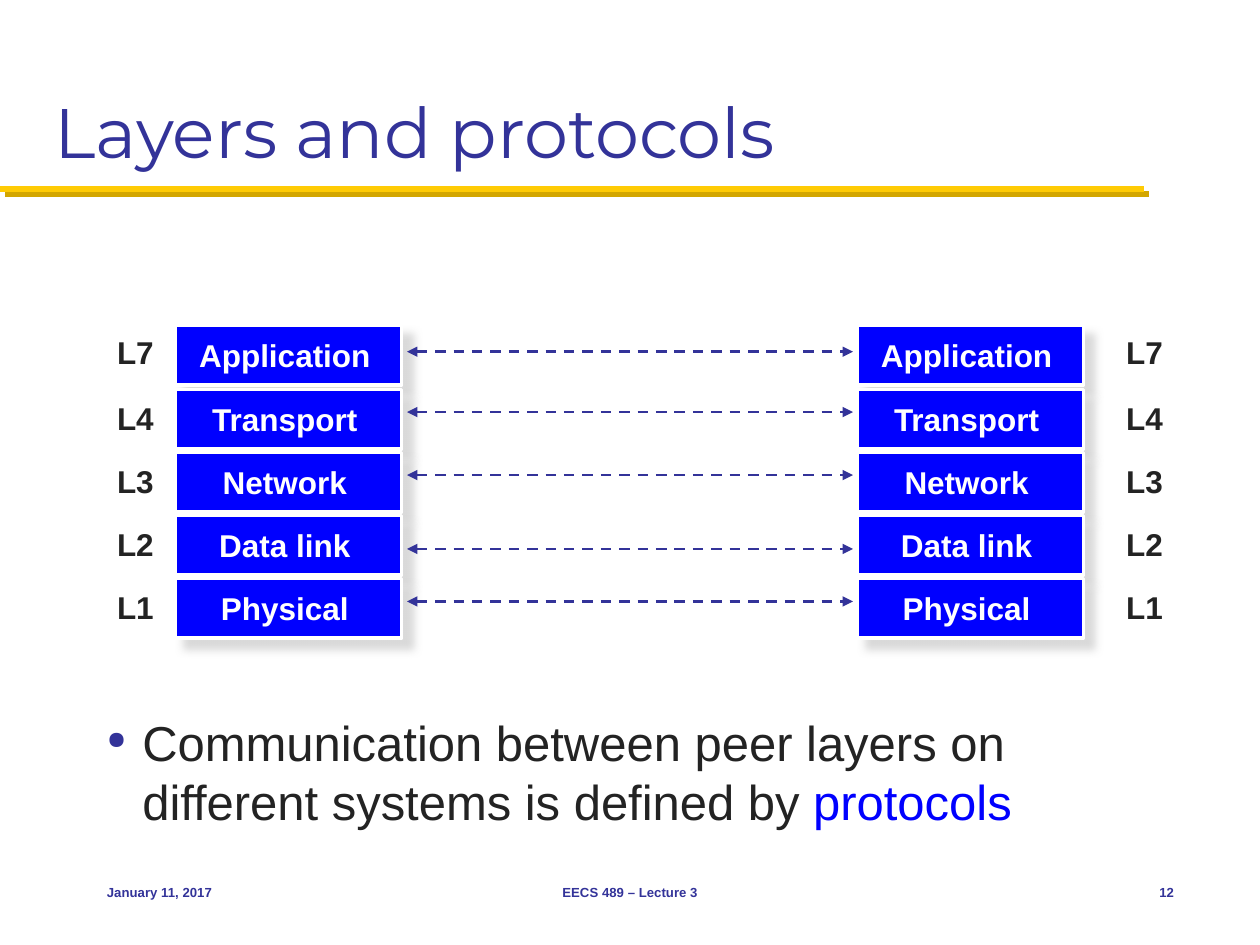
from dataclasses import dataclass

import pptx
import pptx.dml.color
import pptx.enum.dml
import pptx.enum.shapes
import pptx.enum.text
import pptx.oxml.ns
import pptx.util
from lxml import etree

Pt = pptx.util.Pt
RGBColor = pptx.dml.color.RGBColor
Align = pptx.enum.text.PP_ALIGN
Anchor = pptx.enum.text.MSO_ANCHOR
qn = pptx.oxml.ns.qn

INDIGO = RGBColor(0x33, 0x33, 0x99)
BLUE = RGBColor(0x00, 0x00, 0xFF)
WHITE = RGBColor(0xFF, 0xFF, 0xFF)
INK = RGBColor(0x23, 0x23, 0x23)
GOLD = RGBColor(0xFF, 0xCB, 0x05)
DARK_GOLD = RGBColor(0xD3, 0xA6, 0x00)
GREY = RGBColor(0xCE, 0xCE, 0xCE)

BAR_WIDTH, BAR_HEIGHT = 129.6, 34
ARROW_LEFT, ARROW_RIGHT = 232.6, 487.4


@dataclass
class Layer:
    number: str
    name: str
    bar_top: float
    label_top: float
    arrow_y: float


@dataclass
class Stack:
    bar_left: float
    label_left: float


@dataclass
class Footer:
    text: str
    left: float
    width: float
    align: Align


LAYERS = [
    Layer("L7", "Application", 186, 186.5, 201),
    Layer("L4", "Transport", 222.5, 224.6, 235.5),
    Layer("L3", "Network", 258.5, 260.6, 271.5),
    Layer("L2", "Data link", 294.5, 296.6, 313.7),
    Layer("L1", "Physical", 330.5, 332.6, 343.7),
]
STACKS = [Stack(100, 59.8), Stack(489.6, 636.5)]
FOOTERS = [
    Footer("January 11, 2017", 54, 150, Align.LEFT),
    Footer("EECS 489 – Lecture 3", 246, 228, Align.CENTER),
    Footer("12", 630, 48, Align.RIGHT),
]


def add_child(parent, tag: str, **attributes: str):
    return etree.SubElement(parent, qn(tag), attributes)


def add_shadow(effects, color: RGBColor, alpha: int, blur: float, distance: float) -> None:
    shadow = add_child(effects, "a:outerShdw", blurRad=str(Pt(blur)), dist=str(Pt(distance)),
                       dir="2700000", algn="ctr", rotWithShape="0")
    fill = add_child(shadow, "a:srgbClr", val=str(color))
    add_child(fill, "a:alpha", val=str(alpha * 1000))


def style_span(span, size: float, color: RGBColor, bold: bool = False, font: str = "Arial") -> None:
    span.font.name = font
    span.font.size = Pt(size)
    span.font.bold = bold
    span.font.color.rgb = color


def add_text(page, text: str, left: float, top: float, width: float, height: float,
             size: float, color: RGBColor, bold: bool = False, font: str = "Arial",
             align: Align = Align.LEFT, anchor: Anchor = Anchor.TOP, wrap: bool = True):
    box = page.shapes.add_textbox(Pt(left), Pt(top), Pt(width), Pt(height))
    frame = box.text_frame
    frame.word_wrap = wrap
    frame.vertical_anchor = anchor
    frame.text = text
    para = frame.paragraphs[0]
    para.alignment = align
    for span in para.runs:
        style_span(span, size, color, bold, font)
    return box


def add_bar(page, layer: Layer, left: float) -> None:
    bar = page.shapes.add_shape(pptx.enum.shapes.MSO_SHAPE.RECTANGLE, Pt(left),
                                Pt(layer.bar_top), Pt(BAR_WIDTH), Pt(BAR_HEIGHT))
    bar.fill.solid()
    bar.fill.fore_color.rgb = BLUE
    bar.line.color.rgb = WHITE
    bar.line.width = Pt(2)
    bar.shadow.inherit = False
    add_shadow(bar._element.spPr.find(qn("a:effectLst")), GREY, 75, 5, 8)
    frame = bar.text_frame
    frame.margin_left, frame.margin_right = Pt(3), Pt(7)
    frame.margin_top = frame.margin_bottom = Pt(3)
    frame.vertical_anchor = Anchor.MIDDLE
    frame.text = layer.name
    frame.paragraphs[0].alignment = Align.CENTER
    style_span(frame.paragraphs[0].runs[0], 18, WHITE, True)


def add_line(page, left: float, right: float, y: float, color: RGBColor, width: float):
    line = page.shapes.add_connector(pptx.enum.shapes.MSO_CONNECTOR.STRAIGHT,
                                     Pt(left), Pt(y), Pt(right), Pt(y))
    line.line.color.rgb = color
    line.line.width = Pt(width)
    effects = add_child(line._element.spPr, "a:effectLst")
    return line, effects


def add_arrow(page, y: float) -> None:
    arrow, _ = add_line(page, ARROW_LEFT, ARROW_RIGHT, y, INDIGO, 1.5)
    arrow.line.dash_style = pptx.enum.dml.MSO_LINE.DASH
    outline = arrow._element.spPr.find(qn("a:ln"))
    for end in ("a:headEnd", "a:tailEnd"):
        add_child(outline, end, type="triangle")


def add_statement(page) -> None:
    box = add_text(page, "Communication between peer layers on\vdifferent systems is defined by ",
                   54, 403.6, 624, 76, 28, INK)
    para = box.text_frame.paragraphs[0]
    style_span(para.add_run(), 28, BLUE)
    para.runs[-1].text = "protocols"
    properties = para._p.get_or_add_pPr()
    properties.set("marL", str(Pt(20.25)))
    properties.set("indent", str(-Pt(20.25)))
    add_child(add_child(properties, "a:buClr"), "a:srgbClr", val=str(INDIGO))
    add_child(properties, "a:buSzPct", val="50000")
    add_child(properties, "a:buChar", char="●")


def main() -> None:
    deck = pptx.Presentation()
    deck.slide_width, deck.slide_height = Pt(720), Pt(540)
    page = deck.slides.add_slide(deck.slide_layouts[6])

    # Title and its rule
    _, effects = add_line(page, 0, 653.8, 108, GOLD, 3.5)
    add_shadow(effects, DARK_GOLD, 100, 0, 4.2)
    add_text(page, "Layers and protocols", 24, 12, 672, 90, 40, INDIGO,
             font="Montserrat", anchor=Anchor.BOTTOM)

    # Two protocol stacks
    for stack in STACKS:
        for layer in LAYERS:
            add_bar(page, layer, stack.bar_left)
            label = add_text(page, layer.number, stack.label_left, layer.label_top,
                             36, 29, 18, INK, True, wrap=False)
            label.fill.solid()
            label.fill.fore_color.rgb = WHITE

    # Links between peer layers
    for layer in LAYERS:
        add_arrow(page, layer.arrow_y)

    # Statement and footer
    add_statement(page)
    for footer in FOOTERS:
        add_text(page, footer.text, footer.left, 492, footer.width, 36, 7.5, INDIGO, True,
                 align=footer.align, anchor=Anchor.MIDDLE)

    deck.save("out.pptx")


if __name__ == "__main__":
    main()
